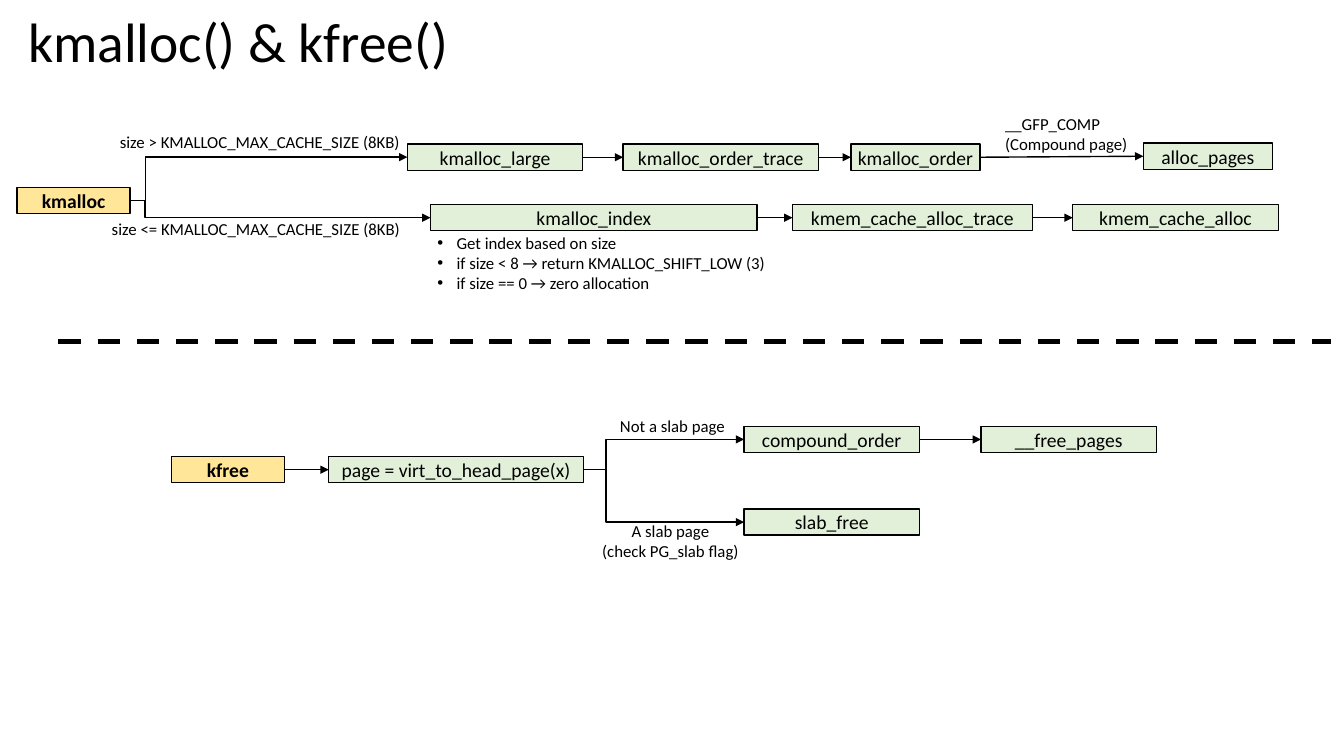
from lxml import etree
from pptx import Presentation
from pptx import util as u
from pptx.dml.color import RGBColor
from pptx.enum import dml, shapes, text
from pptx.oxml.ns import qn

PX = 9144
FONT = "Calibri"
BLACK, YELLOW, GREEN = "000000", "FFE699", "E2F0D9"
BOX_H = 26
RIGHT, LEFT = 3, 1

TITLE = ("kmalloc() & kfree()", 18, 7, 1150, 75)
ENTRIES = ("kmalloc", "kfree")
BOXES = [
    ("kmalloc", 17, 186, 112),
    ("kmalloc_large", 404, 143, 174),
    ("kmalloc_order_trace", 618, 143, 194),
    ("kmalloc_order", 844, 143, 128),
    ("alloc_pages", 1134, 142, 128),
    ("kmalloc_index", 427, 203, 324),
    ("kmem_cache_alloc_trace", 786, 203, 238),
    ("kmem_cache_alloc", 1064, 203, 204),
    ("kfree", 170, 453, 112),
    ("page = virt_to_head_page(x)", 326, 453, 253),
    ("compound_order", 738, 423, 174),
    ("__free_pages", 973, 423, 174),
    ("slab_free", 738, 505, 174),
]
CHAINS = [
    ("kmalloc_large", "kmalloc_order_trace", "kmalloc_order", "alloc_pages"),
    ("kmalloc_index", "kmem_cache_alloc_trace", "kmem_cache_alloc"),
    ("kfree", "page = virt_to_head_page(x)"),
    ("compound_order", "__free_pages"),
]
BRANCHES = [
    ("kmalloc", 144, ("kmalloc_large", "kmalloc_index")),
    ("page = virt_to_head_page(x)", 601, ("compound_order", "slab_free")),
]
LABELS = [
    (["size > KMALLOC_MAX_CACHE_SIZE (8KB)"], 109, 126, 312, 30, "l"),
    (["size <= KMALLOC_MAX_CACHE_SIZE (8KB)"], 101, 212, 312, 30, "l"),
    (["__GFP_COMP", "(Compound page)"], 987, 108, 143, 50, "l"),
    (["Not a slab page"], 600, 408, 134, 30, "ctr"),
    (["A slab page\v(check PG_slab flag)"], 582, 512, 166, 50, "ctr"),
    (["Get index based on size",
      "if size < 8 → return KMALLOC_SHIFT_LOW (3)",
      "if size == 0 → zero allocation"], 424, 226, 427, 71, "bullet"),
]
DIVIDER = (58, 339, 1320, 339)


def rgb(value):
    return RGBColor.from_string(value)


def px(*values):
    return [v * PX for v in values]


def style(p, size, bold=False):
    for r in p.runs:
        r.font.name, r.font.size, r.font.bold = FONT, u.Pt(size), bold
        r.font.color.rgb = rgb(BLACK)


def add_box(s, name, x, y, w):
    sp = s.shapes.add_shape(shapes.MSO_SHAPE.RECTANGLE, *px(x, y, w, BOX_H))
    sp.shadow.inherit = False
    sp.fill.solid()
    sp.fill.fore_color.rgb = rgb(YELLOW if name in ENTRIES else GREEN)
    sp.line.color.rgb = rgb(BLACK)
    sp.line.width = u.Pt(1)
    tf = sp.text_frame
    tf.margin_left = tf.margin_right = tf.margin_top = tf.margin_bottom = 5 * PX
    tf.vertical_anchor = text.MSO_ANCHOR.MIDDLE
    tf.text = name
    p = tf.paragraphs[0]
    p.alignment = text.PP_ALIGN.CENTER
    style(p, 14, name in ENTRIES)
    return sp


def add_text(s, lines, x, y, w, h, kind, size=12):
    tf = s.shapes.add_textbox(*px(x, y, w, h)).text_frame
    tf.word_wrap = True
    for i, line in enumerate(lines):
        p = tf.add_paragraph() if i else tf.paragraphs[0]
        p.text = line
        if kind == "bullet":
            pPr = p._p.get_or_add_pPr()
            pPr.set("marL", str(19 * PX))
            pPr.set("indent", str(-19 * PX))
            etree.SubElement(pPr, qn("a:buFont")).set("typeface", "Arial")
            etree.SubElement(pPr, qn("a:buChar")).set("char", "•")
        elif kind == "ctr":
            p.alignment = text.PP_ALIGN.CENTER
        style(p, size)
    return tf


def add_line(s, kind, ends=(0, 0, 0, 0), width=1):
    c = s.shapes.add_connector(kind, *px(*ends))
    c.line.color.rgb = rgb(BLACK)
    c.line.width = u.Pt(width)
    etree.SubElement(c._element.spPr, qn("a:effectLst"))
    return c


def add_arrow(s, start, end, elbow=None):
    kinds = shapes.MSO_CONNECTOR
    c = add_line(s, kinds.ELBOW if elbow else kinds.STRAIGHT)
    c.begin_connect(start, RIGHT)
    c.end_connect(end, LEFT)
    etree.SubElement(c.line._get_or_add_ln(), qn("a:tailEnd")).set("type", "triangle")
    if elbow:
        share = (elbow * PX - c.begin_x) / (c.end_x - c.begin_x)
        guides = c._element.spPr.find(qn("a:prstGeom")).find(qn("a:avLst"))
        gd = etree.SubElement(guides, qn("a:gd"))
        gd.set("name", "adj1")
        gd.set("fmla", f"val {round(share * 100000)}")


def main():
    prs = Presentation()
    prs.slide_width, prs.slide_height = px(1333, 750)
    s = prs.slides.add_slide(prs.slide_layouts[6])

    name, *frame = TITLE
    tf = add_text(s, [name], *frame, "l", 39.6)
    tf.vertical_anchor = text.MSO_ANCHOR.MIDDLE
    tf.paragraphs[0].line_spacing = 0.9

    boxes = {box[0]: add_box(s, *box) for box in BOXES}
    for chain in CHAINS:
        for start, end in zip(chain, chain[1:]):
            add_arrow(s, boxes[start], boxes[end])
    for start, elbow, ends in BRANCHES:
        for end in ends:
            add_arrow(s, boxes[start], boxes[end], elbow)
    for label in LABELS:
        add_text(s, *label)

    divider = add_line(s, shapes.MSO_CONNECTOR.STRAIGHT, DIVIDER, 4)
    divider.line.dash_style = dml.MSO_LINE.DASH
    prs.save("out.pptx")


if __name__ == "__main__":
    main()
